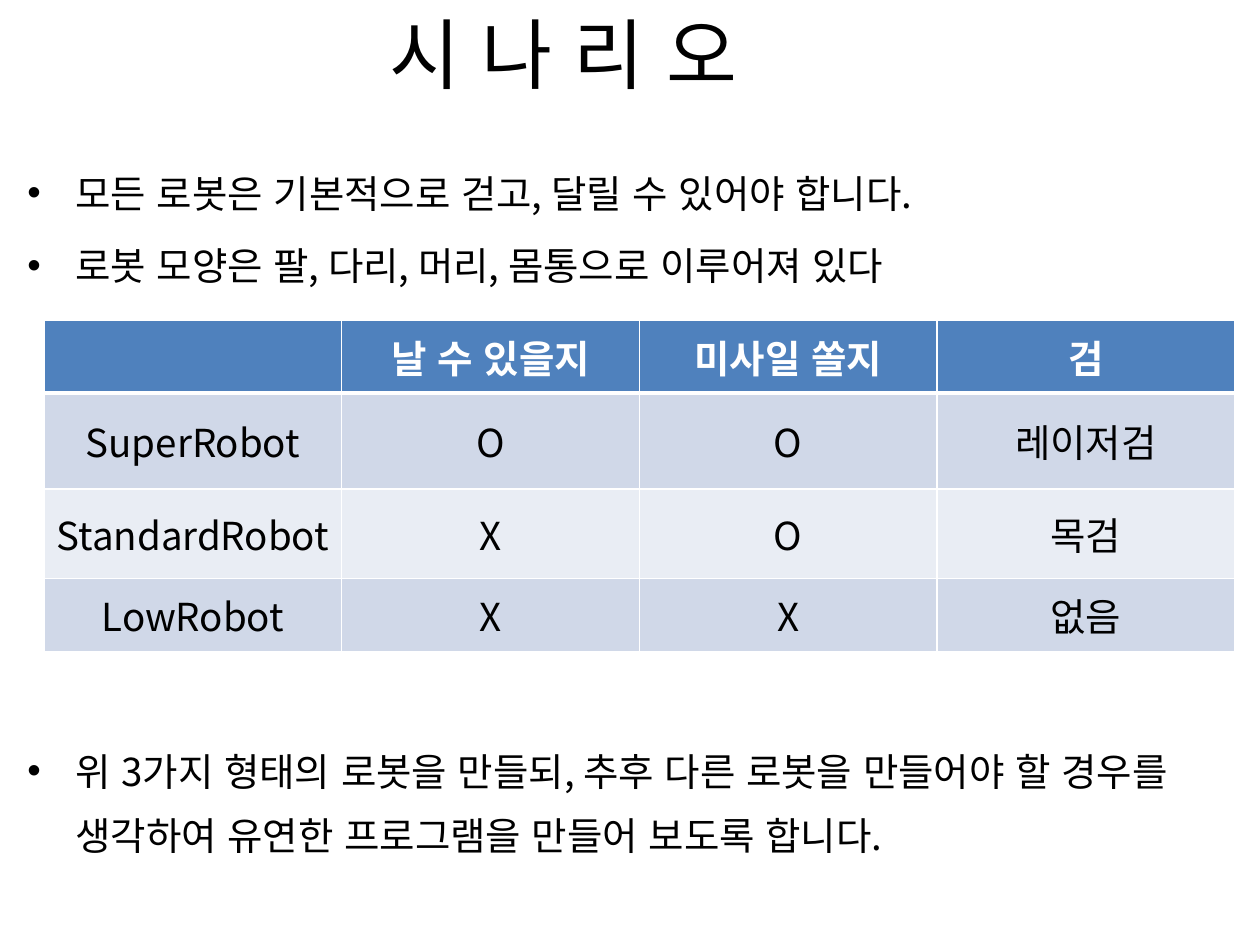
import pptx
import pptx.util
import pptx.dml.color
import pptx.enum.lang
import pptx.enum.text
import pptx.oxml
import pptx.oxml.ns
from lxml import etree

Inches = pptx.util.Inches
Pt = pptx.util.Pt
qn = pptx.oxml.ns.qn
ALIGN = pptx.enum.text.PP_ALIGN
ANCHOR = pptx.enum.text.MSO_ANCHOR

COLORS = {"ink": "000000", "white": "FFFFFF", "head": "4F81BD",
          "band": "D0D8E8", "pale": "E9EDF4"}


class Deck:
    font = "Noto Sans CJK KR"
    lang = pptx.enum.lang.MSO_LANGUAGE_ID.KOREAN
    size = 22

    def __init__(self, wide, high):
        self.prs = pptx.Presentation()
        self.prs.slide_width = Inches(wide)
        self.prs.slide_height = Inches(high)
        self.slide = self.prs.slides.add_slide(self.prs.slide_layouts[6])

    def color(self, name):
        return pptx.dml.color.RGBColor.from_string(COLORS[name])

    def style(self, para, size, color="ink", bold=False):
        for run in para.runs:
            run.font.name = self.font
            run.font.language_id = self.lang
            run.font.size = Pt(size)
            run.font.bold = bold
            run.font.color.rgb = self.color(color)
            east = etree.SubElement(run.font._element, qn("a:ea"))
            east.set("typeface", self.font)

    def box(self, left, top, width, height):
        shape = self.slide.shapes.add_textbox(
            Inches(left), Inches(top), Inches(width), Inches(height))
        shape.text_frame.word_wrap = True
        return shape.text_frame

    def title(self, text, *place):
        frame = self.box(*place)
        frame.vertical_anchor = ANCHOR.MIDDLE
        frame.text = text
        frame.paragraphs[0].alignment = ALIGN.CENTER
        self.style(frame.paragraphs[0], 44)

    def bullets(self, items, *place):
        frame = self.box(*place)
        frame.text = "\n".join(text for text, gap in items)
        for para, (text, gap) in zip(frame.paragraphs, items):
            para.line_spacing = 1.4
            para.space_before = Pt(gap)
            props = para._p.get_or_add_pPr()
            props.set("marL", str(Inches(0.38)))
            props.set("indent", str(Inches(-0.38)))
            etree.SubElement(props, qn("a:buFont")).set("typeface", "Arial")
            etree.SubElement(props, qn("a:buChar")).set("char", "•")
            self.style(para, self.size)

    def border(self, cell, side, width):
        line = etree.SubElement(cell._tc.get_or_add_tcPr(), qn("a:ln" + side))
        line.set("w", str(Pt(width)))
        fill = etree.SubElement(line, qn("a:solidFill"))
        etree.SubElement(fill, qn("a:srgbClr")).set("val", COLORS["white"])

    def cell(self, cell, text, fill, color, bold, top, bottom):
        for side, width in zip("LRTB", (1, 1, top, bottom)):
            self.border(cell, side, width)
        cell.fill.solid()
        cell.fill.fore_color.rgb = self.color(fill)
        cell.vertical_anchor = ANCHOR.MIDDLE
        cell.text = text
        para = cell.text_frame.paragraphs[0]
        para.alignment = ALIGN.CENTER
        para.font.size = Pt(self.size)
        self.style(para, self.size, color, bold)

    def table(self, data, heights, left, top, width):
        count = len(data[0])
        grid = self.slide.shapes.add_table(
            len(data), count, Inches(left), Inches(top),
            Inches(width), Inches(sum(heights))).table
        for col in grid.columns:
            col.width = Inches(width / count)
        for i, (row, high) in enumerate(zip(data, heights)):
            grid.rows[i].height = Inches(high)
            head = i == 0
            fill = "head" if head else "band" if i % 2 else "pale"
            for j, text in enumerate(row):
                self.cell(grid.cell(i, j), text, fill,
                          "white" if head else "ink", head,
                          3 if i == 1 else 1, 3 if head else 1)


deck = Deck(10, 7.5)

# Title
deck.title("시 나 리 오", 0, 0, 8.94, 0.84)

# Requirements, with a gap that leaves room for the table
deck.bullets([
    ("모든 로봇은 기본적으로 걷고, 달릴 수 있어야 합니다.", 4.4),
    ("로봇 모양은 팔, 다리, 머리, 몸통으로 이루어져 있다", 4.4),
    ("위 3가지 형태의 로봇을 만들되, 추후 다른 로봇을 만들어야 할 경우를 "
     "생각하여 유연한 프로그램을 만들어 보도록 합니다.", 252),
], 0.12, 1.15, 9.76, 5.98)

# Robot abilities
deck.table([
    ("", "날 수 있을지", "미사일 쏠지", "검"),
    ("SuperRobot", "O", "O", "레이저검"),
    ("StandardRobot", "X", "O", "목검"),
    ("LowRobot", "X", "X", "없음"),
], (0.58, 0.76, 0.71, 0.58), 0.35, 2.54, 9.45)

deck.prs.save("out.pptx")
